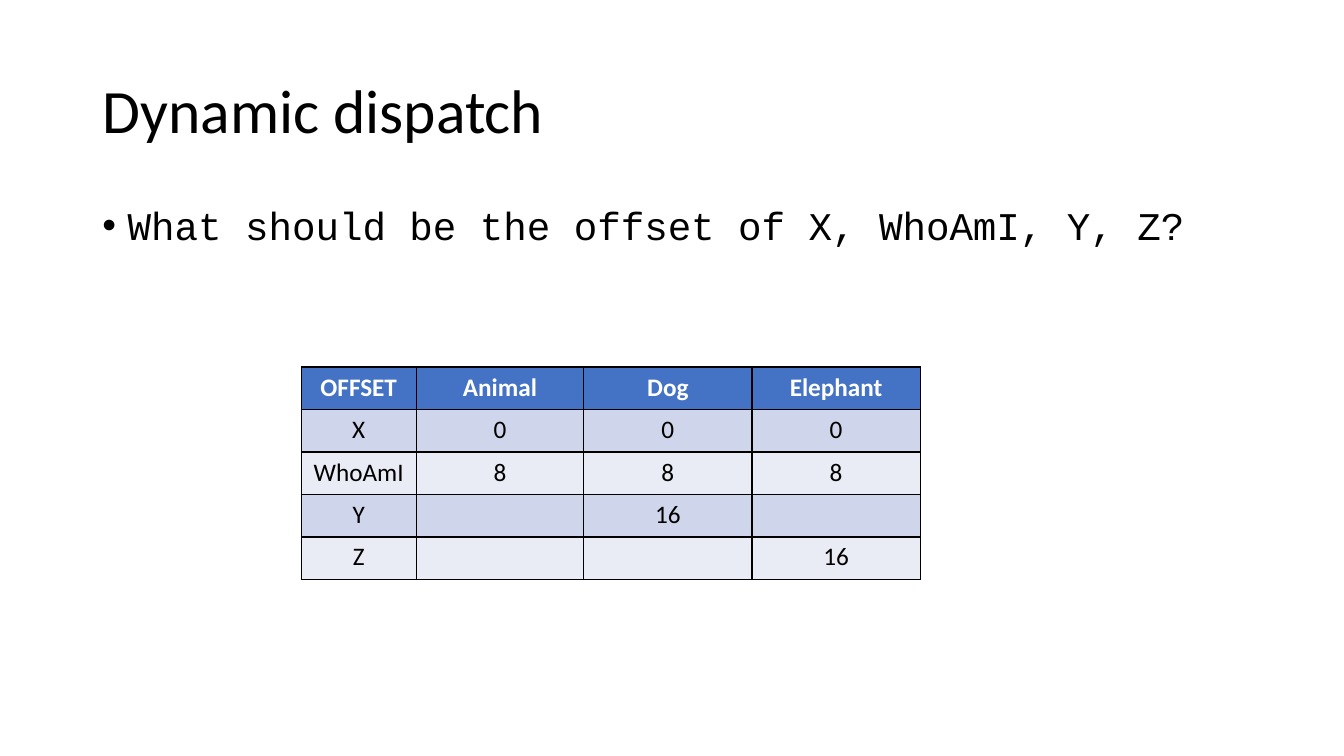
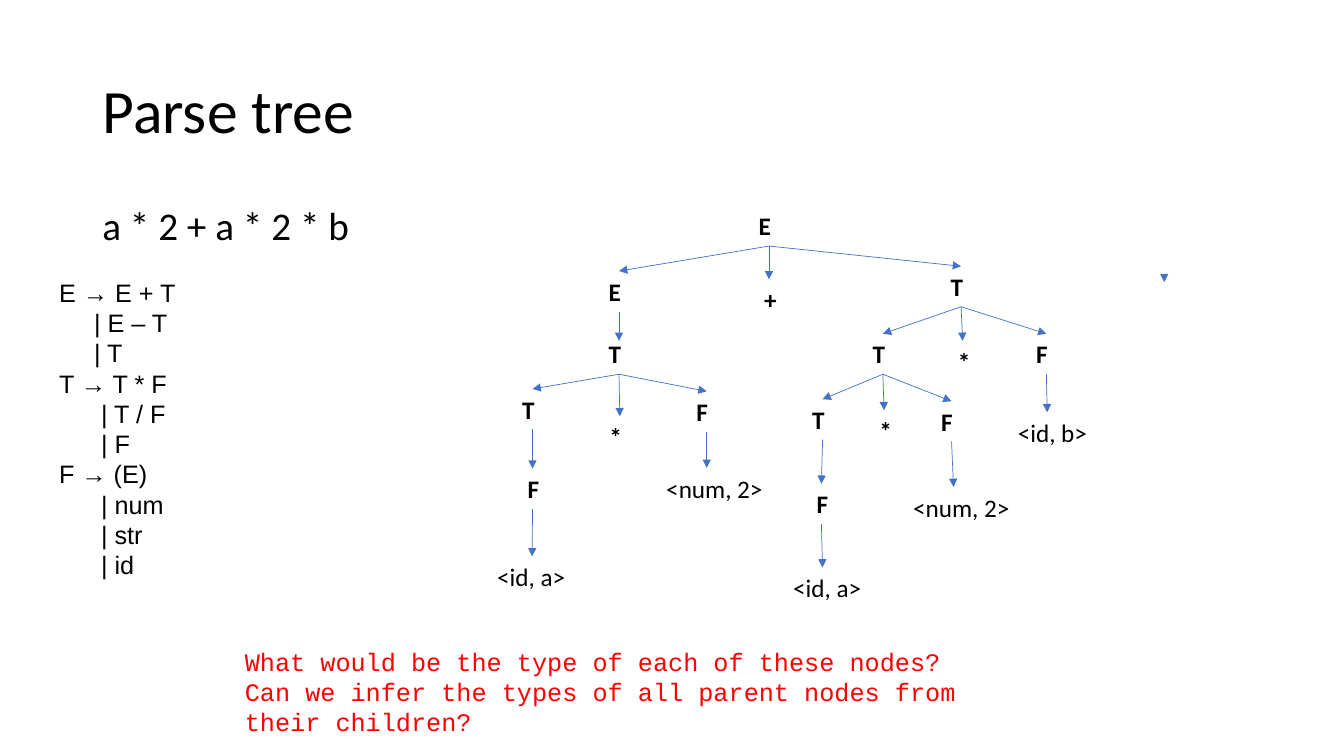
from lxml import etree
from pptx import Presentation
from pptx.dml.color import RGBColor
from pptx.enum.shapes import MSO_CONNECTOR
from pptx.enum.text import MSO_ANCHOR, MSO_AUTO_SIZE, PP_ALIGN
from pptx.oxml import parse_xml
from pptx.oxml.ns import nsdecls, qn
from pptx.util import Cm, Pt

LEFT, CENTER = PP_ALIGN.LEFT, PP_ALIGN.CENTER
MIDDLE = MSO_ANCHOR.MIDDLE
FIXED = MSO_AUTO_SIZE.NONE
STRAIGHT = MSO_CONNECTOR.STRAIGHT
TOP, BOTTOM = 0, 2

COLORS = {"ink": "000000", "white": "FFFFFF", "blue": "4472C4",
          "band": "CFD5EA", "pale": "E9EBF5", "red": "FF0000"}
SANS, MONO, PLAIN = "Calibri", "Courier New", "Arial"
TITLE_BOX = (2.33, 1.02, 29.21, 3.68)
BODY_BOX = (2.33, 5.08, 29.21, 12.09)
INSET = 0.25
STEP = 0.14  # small shift used to line up tree labels
NODE, LEAF = 1.02, 3.66  # label widths


def color(name):
    return RGBColor.from_string(COLORS[name])


class Deck:
    def __init__(self):
        self.prs = Presentation()
        self.prs.slide_width, self.prs.slide_height = Cm(33.87), Cm(19.05)
        self.slide = None

    def style(self, para, size, face=SANS, ink="ink", bold=False):
        font = para.font
        font.size, font.name, font.bold = Pt(size), face, bold
        font.color.rgb = color(ink)

    def page(self, title):
        self.slide = self.prs.slides.add_slide(self.prs.slide_layouts[5])
        head = self.slide.shapes.title
        head.left, head.top, head.width, head.height = map(Cm, TITLE_BOX)
        frame = head.text_frame
        frame.text = title
        frame.auto_size, frame.vertical_anchor = FIXED, MIDDLE
        para = frame.paragraphs[0]
        para.alignment, para.line_spacing = LEFT, 0.9
        self.style(para, 44)

    def text(self, box, lines, size=18, pad=0, indents=None, space=None,
             bullet=False, **look):
        shape = self.slide.shapes.add_textbox(*map(Cm, box))
        frame = shape.text_frame
        frame.word_wrap = True
        frame.margin_left = Cm(INSET + pad)
        for i, line in enumerate(lines):
            para = frame.paragraphs[0] if i == 0 else frame.add_paragraph()
            para.text = line
            if space:
                para.line_spacing = space
            props = para._p.get_or_add_pPr()
            if indents:
                props.set("marL", str(Cm(indents[i])))
            if bullet:
                props.set("marL", str(Cm(0.64)))
                props.set("indent", str(-Cm(0.64)))
                props.append(parse_xml(
                    f'<a:buFont {nsdecls("a")} typeface="Arial"/>'))
                props.append(parse_xml(
                    f'<a:buChar {nsdecls("a")} char="•"/>'))
            self.style(para, size, **look)
        return shape

    def body(self, line, **look):
        return self.text(BODY_BOX, [line], size=28, space=0.9, **look)

    def arrow(self, ends=(0, 0, 0, 0), start=None, end=None):
        line = self.slide.shapes.add_connector(STRAIGHT, *map(Cm, ends))
        if start is not None:
            line.begin_connect(start, BOTTOM)
        if end is not None:
            line.end_connect(end, TOP)
        line.line.color.rgb = color("blue")
        line.line.width = Pt(0.5)
        etree.SubElement(line.line._get_or_add_ln(), qn("a:tailEnd"),
                         type="triangle")
        etree.SubElement(line._element.spPr, qn("a:effectLst"))

    def cell(self, cell, text, fill, ink, bold):
        cell.fill.solid()
        cell.fill.fore_color.rgb = color(fill)
        para = cell.text_frame.paragraphs[0]
        para.text = text
        para.alignment = CENTER
        self.style(para, 18, ink=ink, bold=bold)
        props = cell._tc.get_or_add_tcPr()
        for i, side in enumerate(("lnL", "lnR", "lnT", "lnB")):
            props.insert(i, parse_xml(
                f'<a:{side} {nsdecls("a")} w="{Pt(1)}"><a:solidFill>'
                f'<a:srgbClr val="{COLORS["ink"]}"/></a:solidFill></a:{side}>'))

    def table(self, left, top, widths, height, rows):
        table = self.slide.shapes.add_table(
            len(rows), len(widths), Cm(left), Cm(top),
            Cm(sum(widths)), Cm(height * len(rows))).table
        for col, width in zip(table.columns, widths):
            col.width = Cm(width)
        for r, row in enumerate(rows):
            table.rows[r].height = Cm(height)
            head = r == 0
            fill = "blue" if head else "band" if r % 2 else "pale"
            for c, text in enumerate(row):
                self.cell(table.cell(r, c), text, fill,
                          "white" if head else "ink", head)

    def tree(self, nodes):
        """Draw each label, then join it to its parent; return the labels."""
        made = {}
        for key, (text, left, top, shift, root) in nodes.items():
            leaf = text.startswith("<")
            made[key] = self.text((left, top, LEAF if leaf else NODE, NODE),
                                  [text], pad=shift * STEP, bold=not leaf)
            if root:
                self.arrow(start=made[root], end=made[key])
        return made


# Offsets of each class member
OFFSETS = [
    ("OFFSET", "Animal", "Dog", "Elephant"),
    ("X", "0", "0", "0"),
    ("WhoAmI", "8", "8", "8"),
    ("Y", "", "16", ""),
    ("Z", "", "", "16"),
]

# Tree labels: text, left, top, shift steps, parent
NODES = {
    "sum": ("E", 18.87, 5.18, 0, None),
    "plus": ("+", 18.87, 7.04, 1, "sum"),
    # Left branch
    "l": ("E", 15.09, 6.83, 0, "sum"),
    "lt": ("T", 15.09, 8.41, 0, None),
    "ltt": ("T", 12.91, 9.8, 0, "lt"),
    "lmul": ("*", 15.11, 10.49, 0, "lt"),
    "ltf": ("F", 17.3, 9.86, 0, "lt"),
    "lf": ("F", 12.91, 11.81, 1, "ltt"),
    "la": ("<id, a>", 11.58, 14.02, 5, "lf"),
    "l2": ("<num, 2>", 15.98, 11.79, 4, "ltf"),
    # Right branch
    "r": ("T", 23.71, 6.71, 0, "sum"),
    "rt": ("T", 21.74, 8.41, 0, "r"),
    "rmul": ("*", 23.75, 8.59, 1, "r"),
    "rf": ("F", 25.86, 8.41, 0, "r"),
    "rb": ("<id, b>", 24.56, 10.39, 6, "rf"),
    "rtt": ("T", 20.22, 10.06, 0, "rt"),
    "rtmul": ("*", 21.77, 10.34, 1, "rt"),
    "rtf": ("F", 23.47, 10.11, 0, "rt"),
    "rttf": ("F", 20.19, 12.19, 1, "rtt"),
    "ra": ("<id, a>", 18.9, 14.3, 6, "rttf"),
    "r2": ("<num, 2>", 22.2, 12.27, 4, "rtf"),
}

GRAMMAR = ["E → E + T", "| E – T", "| T", "T → T * F", "| T / F", "| F",
           "F → (E)", "| num", "| str", "| id"]
INDENTS = [0, 0.88, 0.88, 0, 1.06, 1.06, 0, 1.06, 1.06, 1.06]


def main():
    deck = Deck()

    # Dispatch table
    deck.page("Dynamic dispatch")
    deck.body("What should be the offset of X, WhoAmI, Y, Z?",
              face=MONO, bullet=True)
    deck.table(7.59, 9.25, (2.9, 4.22, 4.24, 4.24), 1.07, OFFSETS)

    # Parse tree with its grammar
    deck.page("Parse tree")
    deck.body("a * 2 + a * 2 * b")
    made = deck.tree(NODES)
    deck.arrow((15.6, 7.85, 15.6, 8.59), start=made["l"])
    deck.arrow((29.34, 7.06, 29.34, 7.11))
    deck.text((1.24, 6.86, 9.96, 8.71), GRAMMAR, indents=INDENTS, face=PLAIN)
    deck.text((5.92, 16.15, 18.59, 2.57),
              ["What would be the type of each of these nodes?",
               "Can we infer the types of all parent nodes from their children?"],
              face=MONO, ink="red")

    deck.prs.save("out.pptx")


if __name__ == "__main__":
    main()
